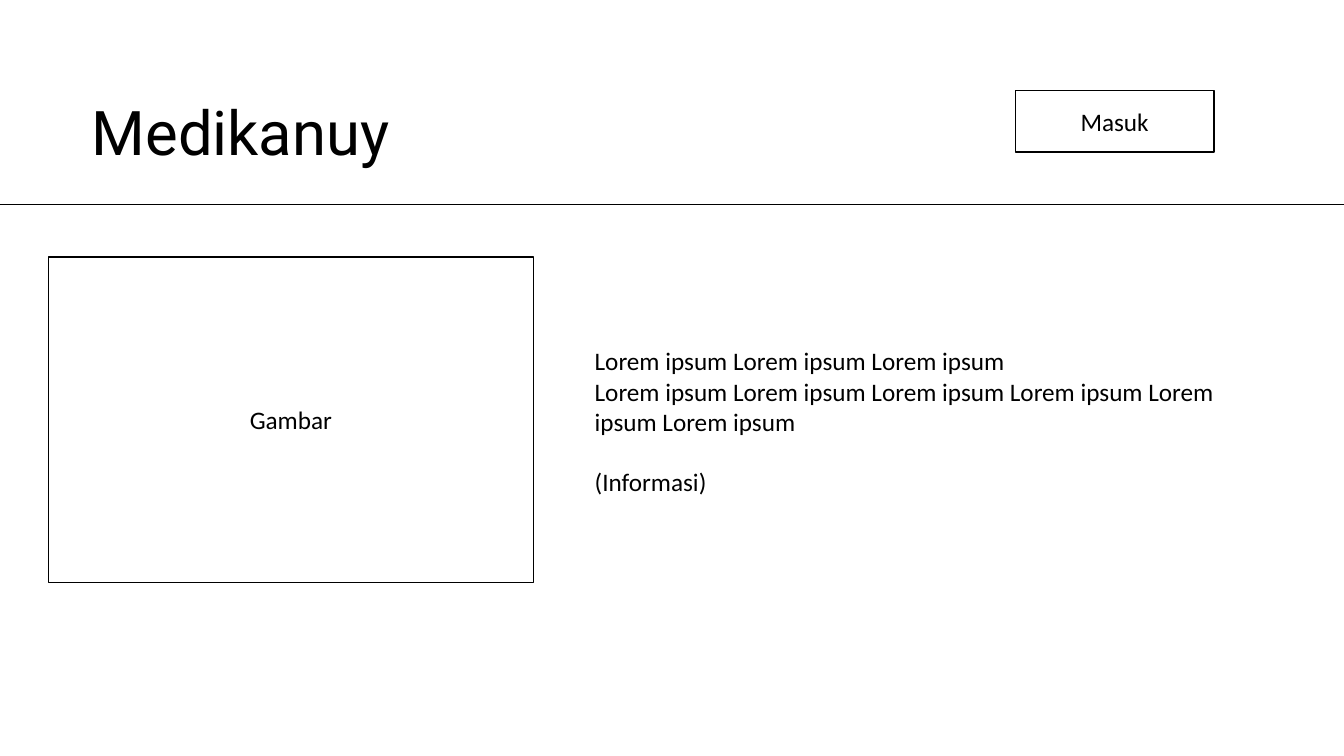
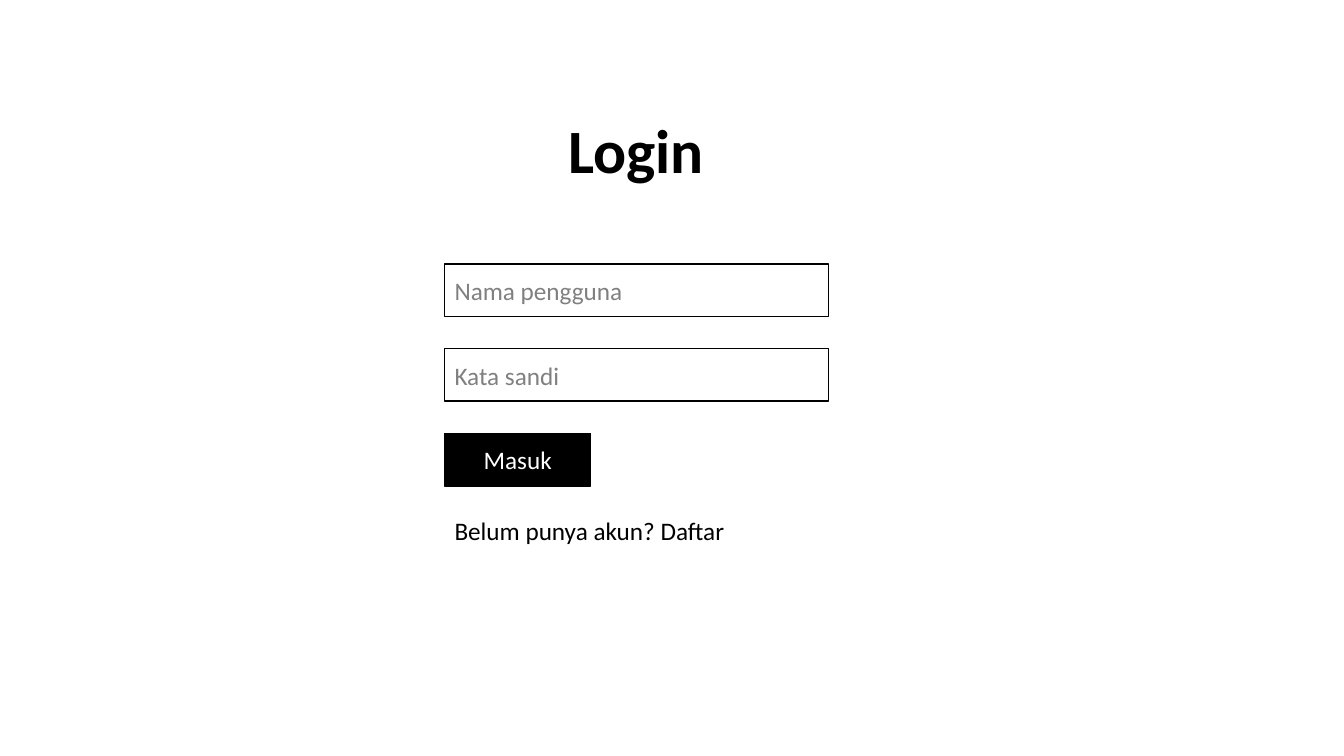
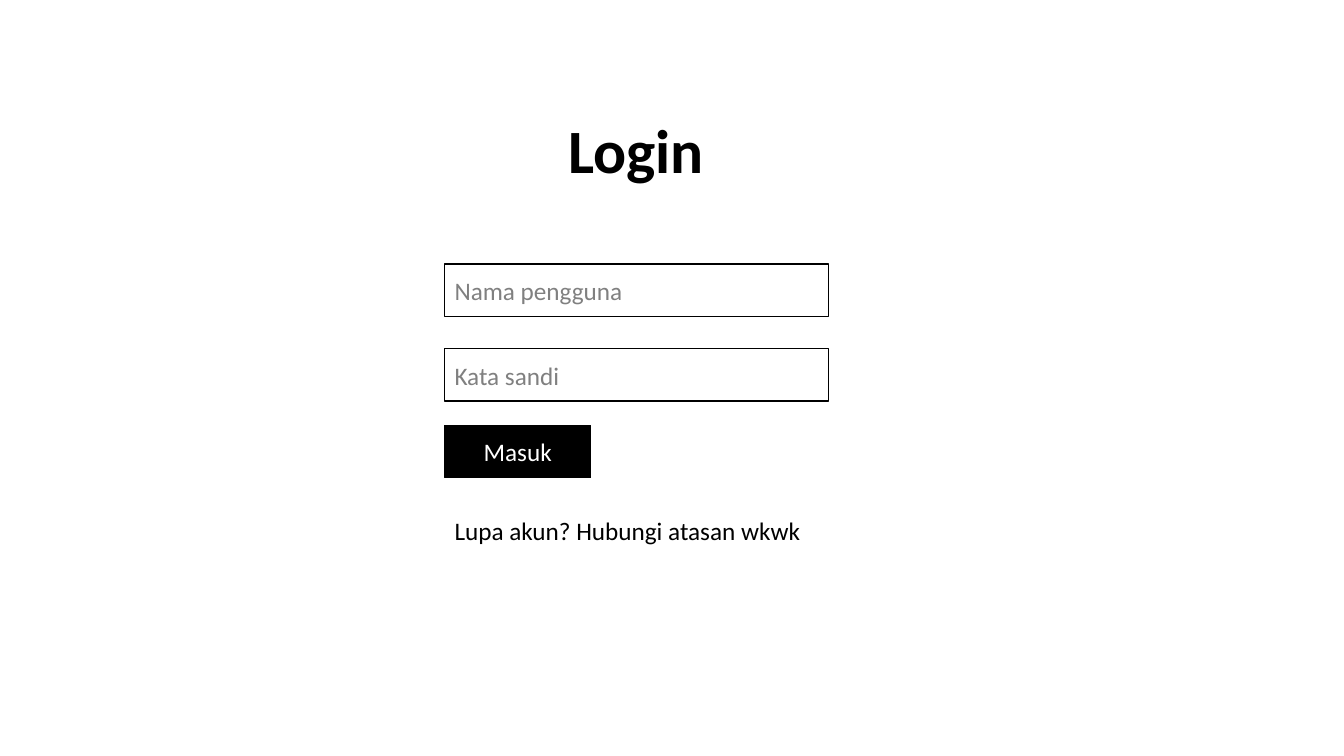
from dataclasses import dataclass

from pptx import Presentation
from pptx.dml.color import RGBColor
from pptx.enum.shapes import MSO_CONNECTOR, MSO_SHAPE
from pptx.enum.text import MSO_ANCHOR, MSO_AUTO_SIZE, PP_ALIGN
from pptx.oxml.ns import qn
from pptx.util import Inches, Pt
from lxml import etree

RECTANGLE = MSO_SHAPE.RECTANGLE
STRAIGHT = MSO_CONNECTOR.STRAIGHT
MIDDLE = MSO_ANCHOR.MIDDLE
GROW = MSO_AUTO_SIZE.SHAPE_TO_FIT_TEXT
LEFT, CENTER = PP_ALIGN.LEFT, PP_ALIGN.CENTER


@dataclass(frozen=True)
class Theme:
    black: RGBColor = RGBColor(0x00, 0x00, 0x00)
    white: RGBColor = RGBColor(0xFF, 0xFF, 0xFF)
    hint: RGBColor = RGBColor(0x80, 0x80, 0x80)
    body_font: str = "Calibri"
    brand_font: str = "Roboto"
    title_size: int = 44
    body_size: int = 18
    box_line: float = 1
    rule_line: float = 0.5


THEME = Theme()
SLIDE_WIDTH, SLIDE_HEIGHT = 13.33, 7.5

# Login form grid
FORM_LEFT, FORM_TOP = 4.41, 2.62
FIELD_WIDTH, FIELD_HEIGHT, FIELD_STEP = 3.81, 0.52, 0.84
FIELDS = ("Nama pengguna", "Kata sandi")


def add_paragraph(paragraph, text, color=THEME.black, size=THEME.body_size,
                  font=THEME.body_font, bold=False, align=LEFT):
    paragraph.alignment = align
    run = paragraph.add_run()
    run.text = text
    run.font.name = font
    run.font.size = Pt(size)
    run.font.bold = bold
    run.font.color.rgb = color


def add_text(slide, left, top, width, height, lines, **style):
    """Add a text box with one paragraph per line and return its text frame."""
    text_box = slide.shapes.add_textbox(
        Inches(left), Inches(top), Inches(width), Inches(height))
    frame = text_box.text_frame
    frame.word_wrap = True
    frame.auto_size = GROW
    for index, line in enumerate(lines):
        paragraph = frame.add_paragraph() if index else frame.paragraphs[0]
        add_paragraph(paragraph, line, **style)
    return frame


def add_box(slide, left, top, width, height, text, fill=THEME.white, **style):
    shape = slide.shapes.add_shape(
        RECTANGLE, Inches(left), Inches(top), Inches(width), Inches(height))
    shape.shadow.inherit = False
    shape.fill.solid()
    shape.fill.fore_color.rgb = fill
    shape.line.color.rgb = THEME.black
    shape.line.width = Pt(THEME.box_line)
    frame = shape.text_frame
    frame.word_wrap = True
    frame.vertical_anchor = MIDDLE
    add_paragraph(frame.paragraphs[0], text, **style)


def add_rule(slide, top):
    """Draw a thin line across the whole slide."""
    connector = slide.shapes.add_connector(
        STRAIGHT, Inches(0), Inches(top), Inches(SLIDE_WIDTH), Inches(top))
    connector.line.color.rgb = THEME.black
    connector.line.width = Pt(THEME.rule_line)
    etree.SubElement(connector._element.spPr, qn("a:effectLst"))


def add_blank_slide(presentation):
    return presentation.slides.add_slide(presentation.slide_layouts[6])


def build_home(presentation):
    slide = add_blank_slide(presentation)

    # Header
    add_text(slide, 0.81, 0.88, 4.48, 0.84, ["Medikanuy"],
             size=THEME.title_size, font=THEME.brand_font)
    add_rule(slide, 2.03)

    # Image area and information
    add_box(slide, 0.48, 2.55, 4.81, 3.23, "Gambar", align=CENTER)
    information = add_text(slide, 5.8, 3.38, 6.36, 1.62, [
        " ".join(["Lorem ipsum"] * 3),
        " ".join(["Lorem ipsum"] * 6),
        "(Informasi)",
    ])
    information.paragraphs[-1].space_before = Pt(21.6)

    # Login button
    add_box(slide, 10.07, 0.9, 1.97, 0.61, "Masuk", align=CENTER)


def build_login(presentation, help_text, button_top):
    slide = add_blank_slide(presentation)

    # Input fields
    for index, label in enumerate(FIELDS):
        add_box(slide, FORM_LEFT, FORM_TOP + index * FIELD_STEP,
                FIELD_WIDTH, FIELD_HEIGHT, label, color=THEME.hint)

    # Help line, title and button
    add_text(slide, FORM_LEFT, 5.06, 3.93, 0.4, [help_text])
    add_text(slide, 4.07, 1.06, 4.48, 0.84, ["Login"],
             size=THEME.title_size, bold=True, align=CENTER)
    add_box(slide, FORM_LEFT, button_top, 1.45, FIELD_HEIGHT, "Masuk",
            fill=THEME.black, color=THEME.white, align=CENTER)


def main():
    presentation = Presentation()
    presentation.slide_width = Inches(SLIDE_WIDTH)
    presentation.slide_height = Inches(SLIDE_HEIGHT)
    build_home(presentation)
    build_login(presentation, "Belum punya akun? Daftar", button_top=4.3)
    build_login(presentation, "Lupa akun? Hubungi atasan wkwk", button_top=4.22)
    presentation.save("out.pptx")


main()
